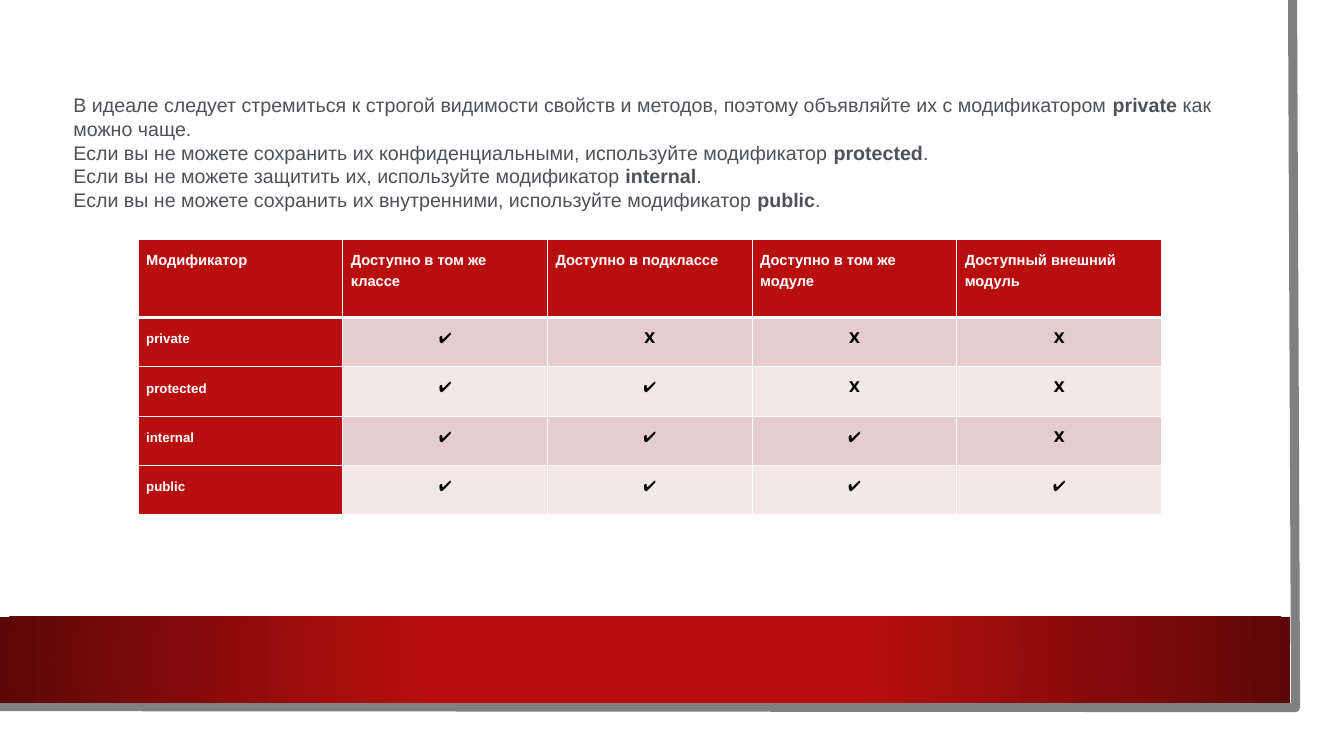
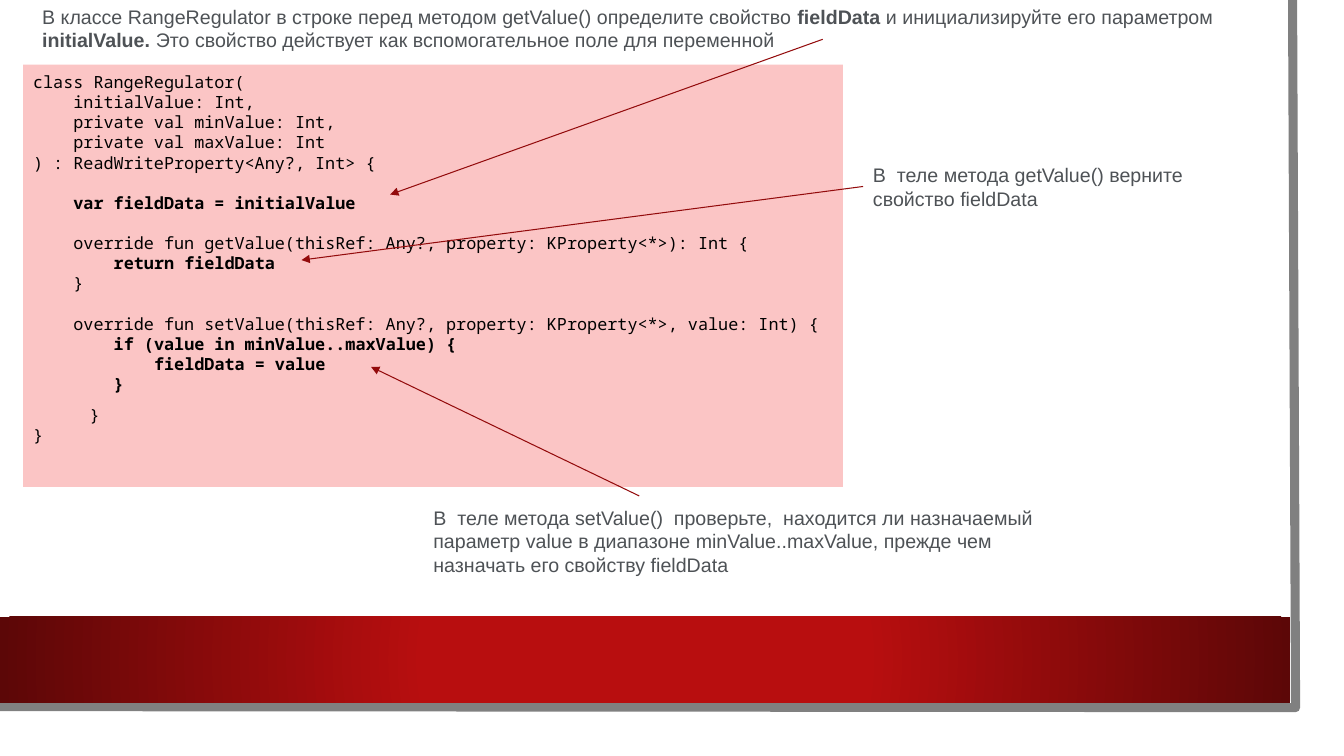
"""Build two slides on property visibility and a delegated property."""
from lxml import etree
from pptx import Presentation, util as u
from pptx.dml.color import RGBColor
from pptx.enum import shapes, text
from pptx.oxml.ns import qn

PX = 9144
RED, DARK_RED, ARROW_RED = "B80E0F", "5C0707", "930B0C"
GREY, BODY, CODE_BG = "808080", "4E5256", "FBC5C5"
BANDS = ("E6CCCC", "F3E7E7")
WHITE, BLACK = "FFFFFF", "000000"
CODE_LINE = 14.4
CODE_INDENT = 40

ADVICE = [
    "В идеале следует стремиться к строгой видимости свойств и методов, поэтому "
    "объявляйте их с модификатором **private** как можно чаще.",
    "Если вы не можете сохранить их конфиденциальными, используйте модификатор **protected**.",
    "Если вы не можете защитить их, используйте модификатор **internal**.",
    "Если вы не можете сохранить их внутренними, используйте модификатор **public**.",
]
HEADERS = ["Модификатор", "Доступно в том же классе", "Доступно в подклассе",
           "Доступно в том же модуле", "Доступный внешний модуль"]
ACCESS = [("private", "✔𝗫𝗫𝗫"), ("protected", "✔✔𝗫𝗫"),
          ("internal", "✔✔✔𝗫"), ("public", "✔✔✔✔")]

TASK = ["В классе RangeRegulator в строке перед методом getValue() определите свойство "
        "**fieldData** и инициализируйте его параметром **initialValue.** "
        "Это свойство действует как вспомогательное поле для переменной"]
GETTER_NOTE = ["В  теле метода getValue() верните свойство fieldData"]
SETTER_NOTE = ["В  теле метода setValue()  проверьте,  находится ли назначаемый параметр "
               "value в диапазоне minValue..maxValue, прежде чем назначать его свойству fieldData"]
# indent level, lines of space before, text
CODE = [
    (0, 0, "class RangeRegulator("),
    (1, 0, "initialValue: Int,"),
    (1, 0, "private val minValue: Int,"),
    (1, 0, "private val maxValue: Int"),
    (0, 0, ") : ReadWriteProperty<Any?, Int> {"),
    (1, 1, "**var fieldData = initialValue**"),
    (1, 1, "override fun getValue(thisRef: Any?, property: KProperty<*>): Int {"),
    (2, 0, "**return fieldData**"),
    (1, 0, "}"),
    (1, 1, "override fun setValue(thisRef: Any?, property: KProperty<*>, value: Int) {"),
    (2, 0, "**if (value in minValue..maxValue) {**"),
    (3, 0, "**fieldData = value**"),
    (2, 0, "**}**"),
    (1.4, 0.5, "}"),
    (0, 0, "}"),
]


def px(*lengths):
    return [u.Emu(length * PX) for length in lengths]


def rgb(color):
    return RGBColor.from_string(color)


def write(paragraph, content, size=14, font="Arial", color=BODY, bold=False,
          align=text.PP_ALIGN.LEFT, spacing=None, before=0, indent=0):
    paragraph.alignment = align
    if spacing:
        paragraph.line_spacing = u.Pt(spacing)
    if before:
        paragraph.space_before = u.Pt(before)
    if indent:
        paragraph._p.get_or_add_pPr().set("marL", str(round(indent * PX)))
    for i, part in enumerate(content.split("**")):
        if part:
            run = paragraph.add_run()
            run.text = part
            run.font.size, run.font.name = u.Pt(size), font
            run.font.bold = bold or i % 2 == 1
            run.font.color.rgb = rgb(color)


def next_paragraph(frame, index):
    return frame.add_paragraph() if index else frame.paragraphs[0]


def add_text(slide, box, paragraphs):
    label = slide.shapes.add_textbox(*px(*box))
    frame = label.text_frame
    frame.word_wrap = True
    frame.vertical_anchor = text.MSO_ANCHOR.MIDDLE
    for i, content in enumerate(paragraphs):
        write(next_paragraph(frame, i), content)
    return label


def add_block(slide, box, color):
    block = slide.shapes.add_shape(shapes.MSO_SHAPE.RECTANGLE, *px(*box))
    block.shadow.inherit = False
    block.fill.solid()
    block.fill.fore_color.rgb = rgb(color)
    block.line.fill.background()
    return block


def add_backdrop(slide):
    add_block(slide, (0, 0, 1310, 727), WHITE)
    outline = slide.shapes.build_freeform(1282, 0, scale=PX)
    outline.add_line_segments([(1285, 702), (0, 701)], close=False)
    edge = outline.convert_to_shape()
    edge.shadow.inherit = False
    edge.fill.background()
    edge.line.color.rgb = rgb(GREY)
    edge.line.width = u.Pt(6.5)

    band = add_block(slide, (0, 612, 1280, 85), RED)
    band.fill.gradient()
    for stop, (position, color) in zip(band.fill.gradient_stops, [(0.34, RED), (1, DARK_RED)]):
        stop.position, stop.color.rgb = position, rgb(color)
    gradient = band.element.spPr.find(qn("a:gradFill"))
    gradient.remove(gradient.find(qn("a:lin")))
    radial = etree.SubElement(gradient, qn("a:path"), {"path": "circle"})
    etree.SubElement(radial, qn("a:fillToRect"), dict.fromkeys("ltrb", "50000"))


def add_arrow(slide, start, end, source=None):
    arrow = slide.shapes.add_connector(shapes.MSO_CONNECTOR.STRAIGHT, *px(*start, *end))
    if source:
        arrow.begin_connect(source, 1)
    arrow.line.color.rgb = rgb(ARROW_RED)
    arrow.line.width = u.Pt(0.75)
    properties = arrow.element.spPr
    etree.SubElement(properties.find(qn("a:ln")), qn("a:tailEnd"), {"type": "triangle"})
    etree.SubElement(properties, qn("a:effectLst"))


def set_borders(cell, **widths):
    properties = cell._tc.get_or_add_tcPr()
    for side in "LRTB":
        line = etree.SubElement(properties, qn(f"a:ln{side}"),
                                {"w": str(u.Pt(widths.get(side, 1)))})
        fill = etree.SubElement(line, qn("a:solidFill"))
        etree.SubElement(fill, qn("a:srgbClr"), {"val": WHITE})


def add_access_table(slide, left, top, column, header, row):
    rows = [HEADERS] + [[name, *marks] for name, marks in ACCESS]
    heights = [header] + [row] * len(ACCESS)
    table = slide.shapes.add_table(
        len(rows), len(HEADERS),
        *px(left, top, column * len(HEADERS), sum(heights))).table
    table.horz_banding = False
    for table_column in table.columns:
        table_column.width = px(column)[0]
    for r, values in enumerate(rows):
        table.rows[r].height = px(heights[r])[0]
        for c, value in enumerate(values):
            cell = table.cell(r, c)
            heading = r == 0 or c == 0
            set_borders(cell, B=3 if r == 0 else 1, T=3 if r == 1 else 1)
            cell.fill.solid()
            cell.fill.fore_color.rgb = rgb(RED if heading else BANDS[(r - 1) % 2])
            cell.margin_left = cell.margin_right = cell.margin_top = cell.margin_bottom = px(8)[0]
            write(cell.text_frame.paragraphs[0], value, spacing=15, bold=heading,
                  size=9.5 if r and c == 0 else 10.5,
                  color=WHITE if heading else BLACK,
                  align=text.PP_ALIGN.LEFT if heading else text.PP_ALIGN.CENTER)


def add_code(slide, box):
    frame = add_block(slide, box, CODE_BG).text_frame
    frame.word_wrap = True
    frame.vertical_anchor = text.MSO_ANCHOR.TOP
    frame.margin_top, frame.margin_bottom = px(7, 0)
    for i, (level, gap, content) in enumerate(CODE):
        write(next_paragraph(frame, i), content, size=12, font="Noto Sans Mono", color=BLACK,
              spacing=CODE_LINE, before=gap * CODE_LINE, indent=level * CODE_INDENT)


def main():
    deck = Presentation()
    deck.slide_width, deck.slide_height = px(1333, 750)
    visibility, delegate = (deck.slides.add_slide(deck.slide_layouts[6]) for _ in range(2))
    for slide in (visibility, delegate):
        add_backdrop(slide)

    add_text(visibility, (63, 87, 1163, 128), ADVICE)
    add_access_table(visibility, 137, 238, column=203, header=77, row=49)

    add_code(delegate, (23, 64, 813, 419))
    add_text(delegate, (32, 0, 1203, 56), TASK)
    getter = add_text(delegate, (856, 157, 409, 56), GETTER_NOTE)
    add_text(delegate, (420, 496, 667, 81), SETTER_NOTE)
    add_arrow(delegate, (856, 185), (299, 258), source=getter)
    add_arrow(delegate, (816, 39), (387, 193))
    add_arrow(delegate, (634, 492), (368, 364))
    deck.save("out.pptx")


if __name__ == "__main__":
    main()
